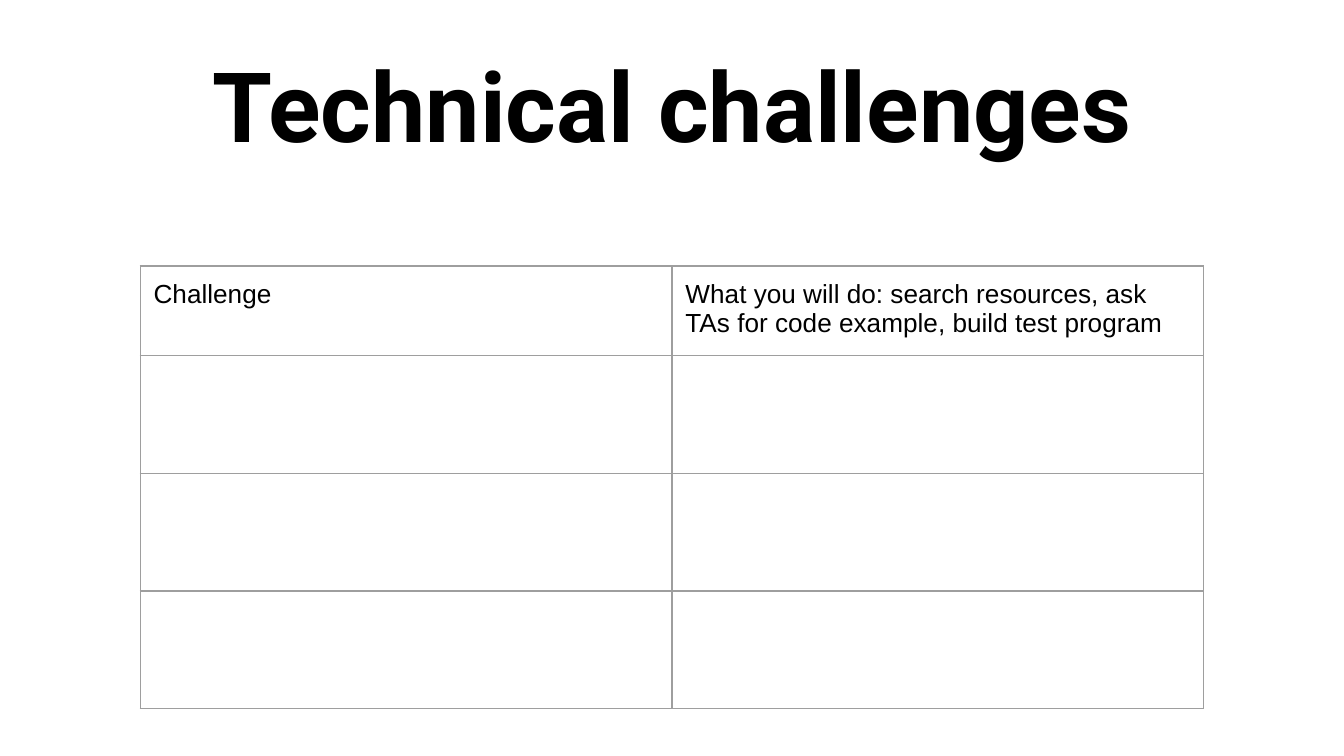
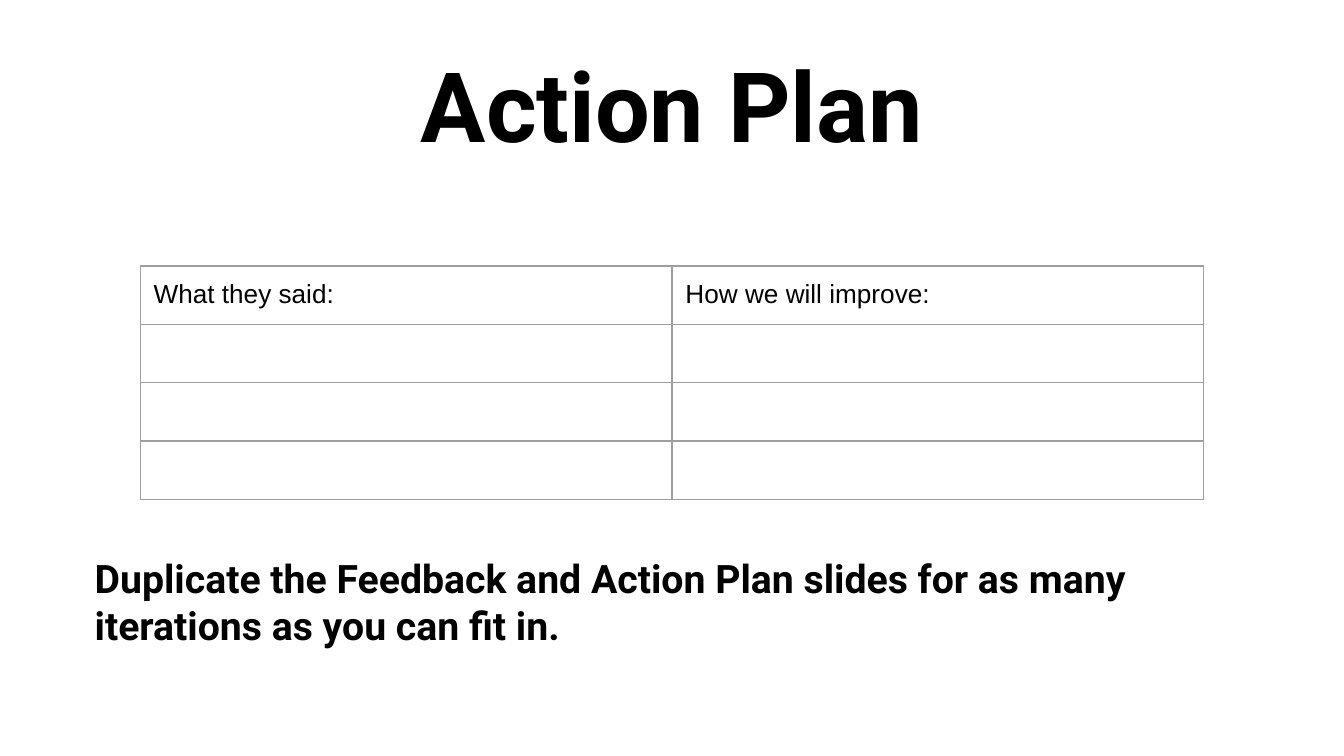
from dataclasses import dataclass

from lxml import etree
from pptx import Presentation
from pptx import util as u
from pptx.dml import color
from pptx.enum import text
from pptx.oxml import ns

PX = 2286


@dataclass(frozen=True)
class Theme:
    background: str = "FFFFFF"
    ink: str = "000000"
    grid: str = "9E9E9E"
    heading_font: str = "Roboto"
    table_font: str = "Arial"
    title_size: int = 52
    note_size: int = 21
    table_size: int = 14
    grid_width: float = 0.75


THEME = Theme()


def px(n):
    return u.Emu(n * PX)


def rgb(value):
    return color.RGBColor.from_string(value)


def write(tf, content, *, font, size, bold=False, align=text.PP_ALIGN.LEFT,
          anchor=text.MSO_ANCHOR.TOP):
    tf.word_wrap = True
    tf.vertical_anchor = anchor
    p = tf.paragraphs[0]
    p.alignment = align
    r = p.add_run()
    r.text = content
    r.font.name = font
    r.font.size = u.Pt(size)
    r.font.bold = bold
    r.font.color.rgb = rgb(THEME.ink)


def add_heading(s, content, box, size, align):
    tf = s.shapes.add_textbox(*map(px, box)).text_frame
    tf.margin_left = tf.margin_right = px(15)
    tf.margin_top = tf.margin_bottom = px(15)
    write(tf, content, font=THEME.heading_font, size=size, bold=True,
          align=align, anchor=text.MSO_ANCHOR.MIDDLE)


def add_title(s, content):
    add_heading(s, content, (294, 60, 3412, 500), THEME.title_size,
                text.PP_ALIGN.CENTER)


def add_note(s, content):
    add_heading(s, content, (267, 1530, 3440, 520), THEME.note_size,
                text.PP_ALIGN.LEFT)


def set_borders(cell):
    tcPr = cell._tc.get_or_add_tcPr()
    for side in ("lnL", "lnR", "lnT", "lnB"):
        ln = etree.SubElement(tcPr, ns.qn(f"a:{side}"),
                              w=str(u.Pt(THEME.grid_width)))
        fill = etree.SubElement(ln, ns.qn("a:solidFill"))
        etree.SubElement(fill, ns.qn("a:srgbClr"), val=THEME.grid)


def format_cell(cell, content):
    cell.margin_left = cell.margin_right = px(40)
    cell.margin_top = cell.margin_bottom = px(40)
    set_borders(cell)
    cell.fill.background()
    if content:
        write(cell.text_frame, content, font=THEME.table_font,
              size=THEME.table_size)
    else:
        etree.SubElement(cell.text_frame.paragraphs[0]._p,
                         ns.qn("a:endParaRPr"), sz=str(THEME.table_size * 100))


def add_worksheet(s, headers, row_heights):
    column_width = 1583
    frame = s.shapes.add_table(
        len(row_heights), len(headers), px(417), px(792),
        px(column_width * len(headers)), px(sum(row_heights)))
    table = frame.table
    table.first_row = table.horz_banding = False
    for column in table.columns:
        column.width = px(column_width)
    for i, height in enumerate(row_heights):
        table.rows[i].height = px(height)
        for j, header in enumerate(headers):
            format_cell(table.cell(i, j), header if i == 0 else "")


def add_slide(prs, title):
    s = prs.slides.add_slide(prs.slide_layouts[6])
    s.background.fill.solid()
    s.background.fill.fore_color.rgb = rgb(THEME.background)
    add_title(s, title)
    return s


def main():
    prs = Presentation()
    prs.slide_width = px(4000)
    prs.slide_height = px(2250)

    s = add_slide(prs, "Technical challenges")
    add_worksheet(s, ["Challenge",
                      "What you will do: search resources, ask TAs for code "
                      "example, build test program"], [266] + [350] * 3)

    s = add_slide(prs, "Action Plan")
    add_note(s, "Duplicate the Feedback and Action Plan slides for as many "
                "iterations as you can fit in.")
    add_worksheet(s, ["What they said:", "How we will improve:"], [173] * 4)

    prs.save("out.pptx")


if __name__ == "__main__":
    main()
